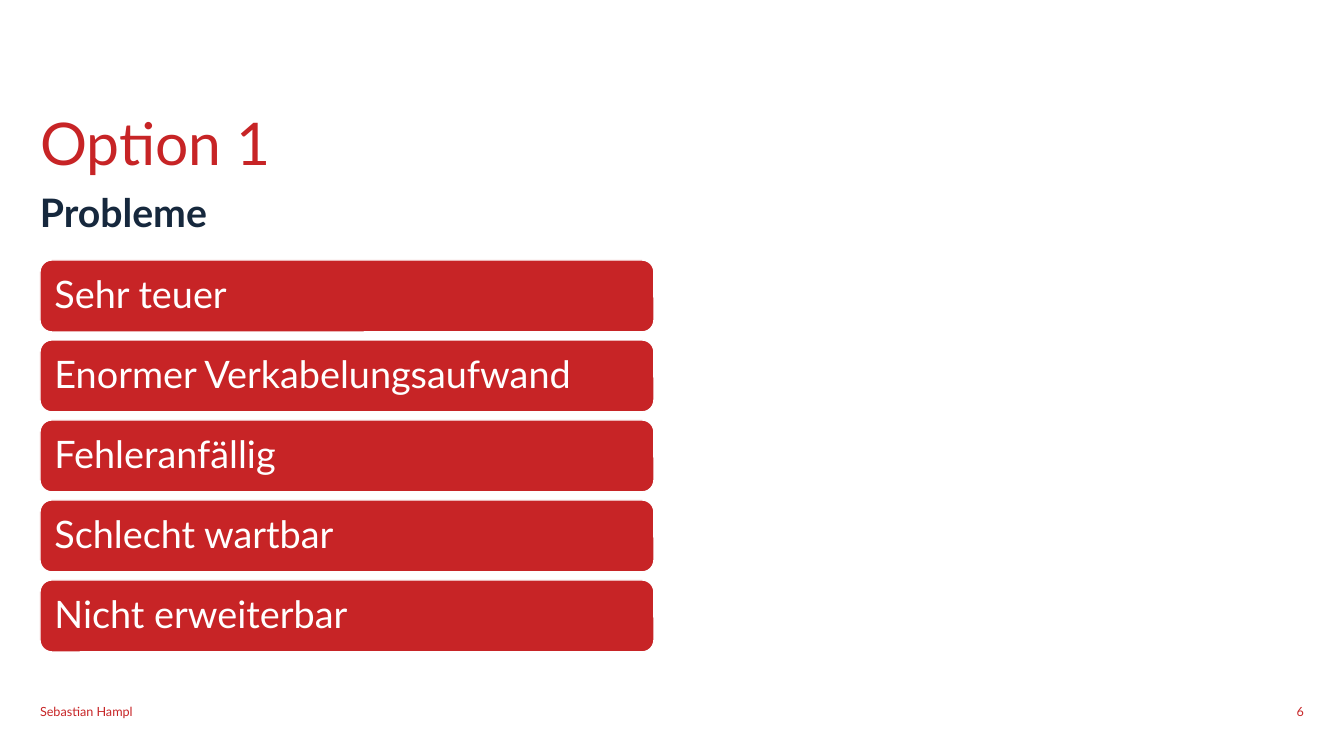
from pptx import Presentation
from pptx.dml.color import RGBColor
from pptx.enum.shapes import MSO_SHAPE as Shape
from pptx.enum.text import MSO_ANCHOR as Anchor, PP_ALIGN as Align
from pptx.util import Emu, Pt

RED = RGBColor(0xC7, 0x24, 0x26)
NAVY = RGBColor(0x16, 0x28, 0x3D)
WHITE = RGBColor(0xFF, 0xFF, 0xFF)

SLIDE_WIDTH, SLIDE_HEIGHT = 1344, 756
EMU_PER_PX = 12192000 / SLIDE_WIDTH

MARGIN = 40
CONTENT_WIDTH = SLIDE_WIDTH - 2 * MARGIN
COLUMN_WIDTH = 614
BAR_TOP, BAR_HEIGHT, BAR_PITCH = 260, 72, 80
FOOTER_TOP, FOOTER_HEIGHT = 704, 15

PROBLEMS = [
    "Sehr teuer",
    "Enormer Verkabelungsaufwand",
    "Fehleranfällig",
    "Schlecht wartbar",
    "Nicht erweiterbar",
]


def px(length):
    return Emu(round(length * EMU_PER_PX))


class SlideBuilder:
    """Holds the current slide and its text style."""

    font_name = "Lato"

    def __init__(self, slide):
        self.slide = slide

    def set_text(self, shape, text, size, color, inset=0, anchor=Anchor.TOP,
                 align=Align.LEFT, bold=False, line_spacing=None):
        frame = shape.text_frame
        frame.text = text
        frame.word_wrap = True
        frame.vertical_anchor = anchor
        frame.margin_left = frame.margin_right = px(inset)
        frame.margin_top = frame.margin_bottom = px(inset)
        paragraph = frame.paragraphs[0]
        paragraph.alignment = align
        paragraph.line_spacing = line_spacing
        for run in paragraph.runs:
            run.font.name = self.font_name
            run.font.size = Pt(size)
            run.font.bold = bold
            run.font.color.rgb = color

    def label(self, text, left, top, width, height, size, color, **style):
        box = self.slide.shapes.add_textbox(*map(px, (left, top, width, height)))
        self.set_text(box, text, size, color, **style)

    def bar(self, text, left, top, width, height):
        bar = self.slide.shapes.add_shape(
            Shape.ROUNDED_RECTANGLE, *map(px, (left, top, width, height)))
        bar.shadow.inherit = False
        bar.fill.solid()
        bar.fill.fore_color.rgb = RED
        bar.line.color.rgb = WHITE
        bar.line.width = Pt(1)
        self.set_text(bar, text, 27, WHITE, inset=11, anchor=Anchor.MIDDLE,
                      line_spacing=0.9)


def main():
    deck = Presentation()
    deck.slide_width, deck.slide_height = px(SLIDE_WIDTH), px(SLIDE_HEIGHT)
    builder = SlideBuilder(deck.slides.add_slide(deck.slide_layouts[6]))

    builder.label("Option 1", MARGIN, 119, CONTENT_WIDTH, 58, 42, RED,
                  anchor=Anchor.BOTTOM, line_spacing=Pt(43))
    builder.label("Probleme", MARGIN, 195, COLUMN_WIDTH, 41, 28, NAVY,
                  bold=True, line_spacing=Pt(29))

    for row, problem in enumerate(PROBLEMS):
        builder.bar(problem, MARGIN, BAR_TOP + row * BAR_PITCH,
                    COLUMN_WIDTH, BAR_HEIGHT)

    builder.label("Sebastian Hampl", MARGIN, FOOTER_TOP, 992, FOOTER_HEIGHT,
                  9, RED)
    number_width = 75
    builder.label("6", SLIDE_WIDTH - MARGIN - number_width, FOOTER_TOP,
                  number_width, FOOTER_HEIGHT, 9, RED,
                  anchor=Anchor.BOTTOM, align=Align.RIGHT)

    deck.save("out.pptx")


if __name__ == "__main__":
    main()
